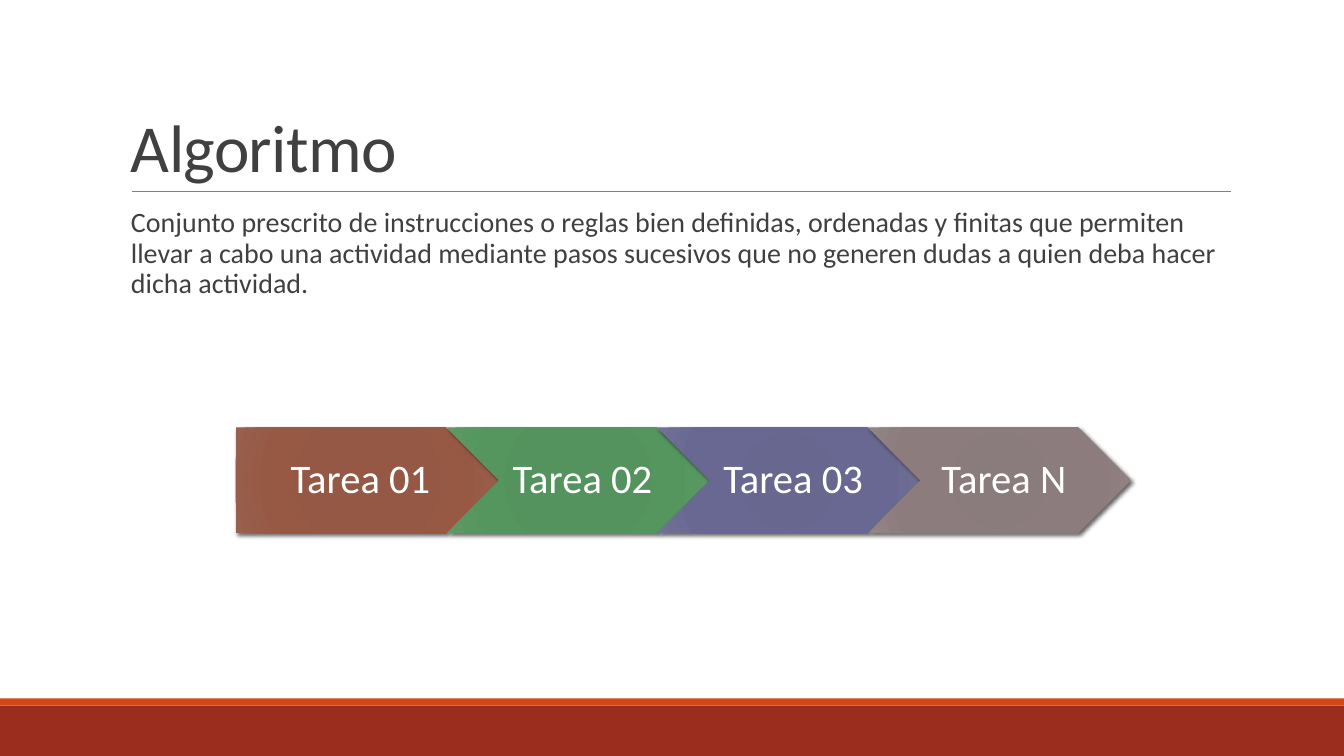
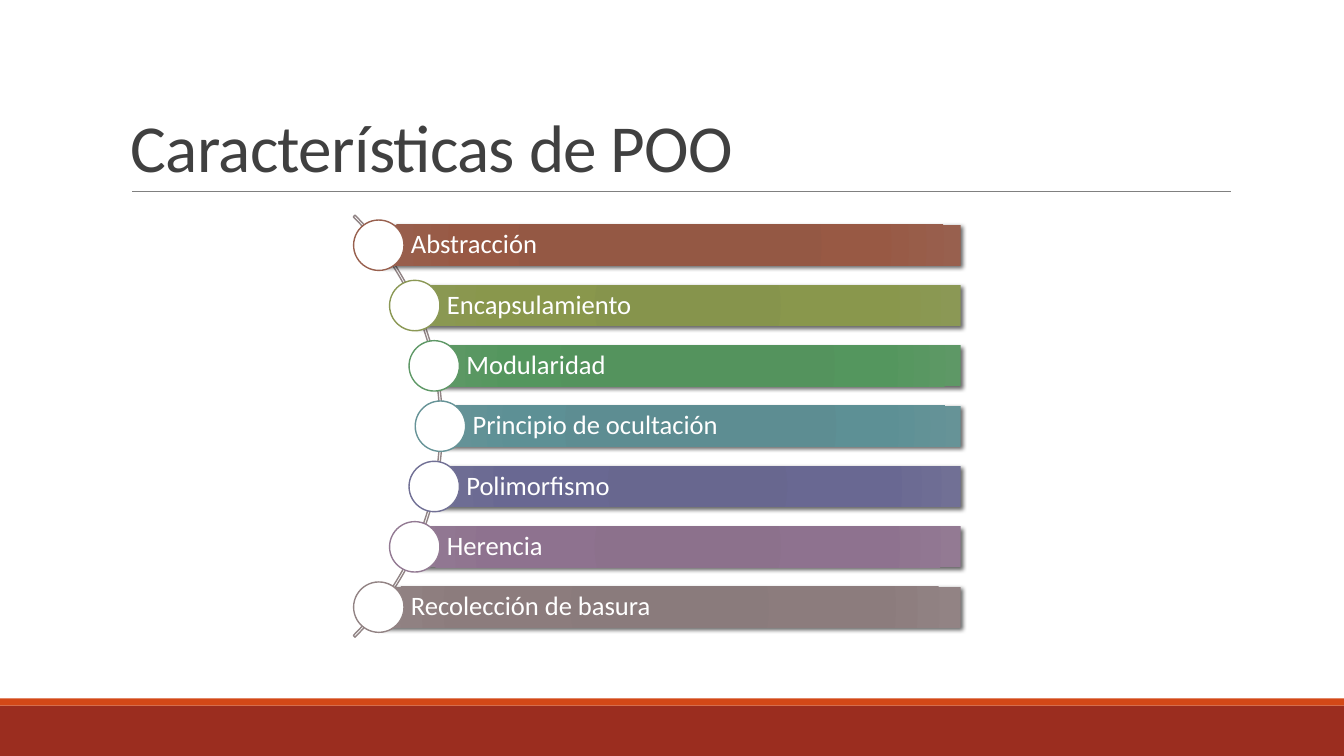
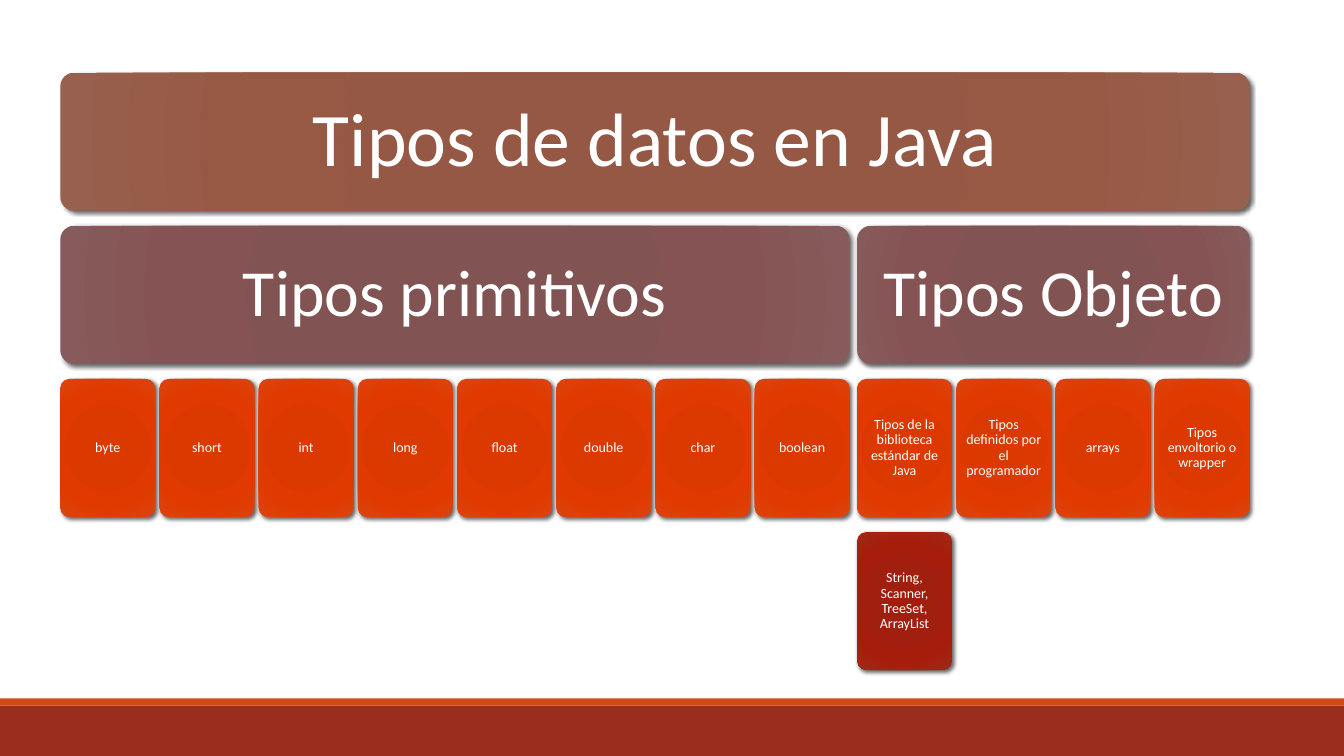
from math import sqrt

from pptx import Presentation
from pptx.dml.color import RGBColor
from pptx.enum.shapes import MSO_CONNECTOR, MSO_SHAPE
from pptx.enum.text import MSO_ANCHOR, PP_ALIGN
from pptx.oxml import parse_xml
from pptx.oxml.ns import nsdecls, qn
from pptx.util import Cm, Pt

FONT = "Calibri"
SLIDE_W, SLIDE_H = 33.87, 19.05


def colors(*codes):
    return [RGBColor.from_string(code) for code in codes]


# Colours
WHITE, INK, RULE, BAND, STRIPE, ARC = colors(
    "FFFFFF", "404040", "808080", "9B2D1F", "D34817", "918485")

# Radial gradients, one colour for each stop
STOPS = (0, 34, 70, 100)
BROWN = colors("945742", "945844", "985944", "98604E")
OLIVE = colors("85944A", "86944C", "89974C", "8B9855")
GREEN = colors("52935B", "54935D", "54965E", "5E9866")
TEAL = colors("5B8C91", "5D8D92", "5D9095", "669397")
VIOLET = colors("67658E", "68678F", "696892", "717095")
PLUM = colors("8B6F8B", "8C718C", "8E728F", "937A93")
GREY = colors("89797A", "8A7B7C", "8C7C7D", "928384")
WINE = colors("825151", "825353", "855353", "875B5B")
ORANGE = colors("DA3900", "DC3900", "E03A00", "DC440E")
RED = colors("A21D0C", "A01F0F", "A61D0C", "A12819")


# Element helpers; all places and sizes are in centimetres
def write(shape, text, size, color=WHITE, align=PP_ALIGN.CENTER,
          anchor=MSO_ANCHOR.MIDDLE, insets=(0.25, 0.13, 0.25, 0.13), spacing=0.9):
    tf = shape.text_frame
    tf.word_wrap = True
    tf.vertical_anchor = anchor
    tf.margin_left, tf.margin_top, tf.margin_right, tf.margin_bottom = map(Cm, insets)
    p = tf.paragraphs[0]
    p.alignment = align
    p.line_spacing = spacing
    r = p.add_run()
    r.text = text
    r.font.name = FONT
    r.font.size = Pt(size)
    r.font.color.rgb = color
    return r


def add_flat(s, kind, box, fill=None, line=None):
    sp = s.shapes.add_shape(kind, *map(Cm, box))
    sp.shadow.inherit = False
    if fill is None:
        sp.fill.background()
    else:
        sp.fill.solid()
        sp.fill.fore_color.rgb = fill
    if line is None:
        sp.line.fill.background()
    else:
        sp.line.color.rgb = line
        sp.line.width = Pt(1)
    return sp


def add_glossy(s, kind, box, gradient):
    """Shape with a radial gradient and a soft shadow."""
    sp = add_flat(s, kind, box, gradient[0])
    sp_pr = sp._element.spPr
    stops = "".join(
        f'<a:gs pos="{pos * 1000}"><a:srgbClr val="{color}"/></a:gs>'
        for pos, color in zip(STOPS, gradient))
    sp_pr.replace(sp_pr.find(qn("a:solidFill")), parse_xml(
        f'<a:gradFill {nsdecls("a")} rotWithShape="1"><a:gsLst>{stops}</a:gsLst>'
        '<a:path path="circle"><a:fillToRect l="100000" t="100000" r="100000" '
        'b="100000"/></a:path></a:gradFill>'))
    sp_pr.find(qn("a:effectLst")).append(parse_xml(
        f'<a:outerShdw {nsdecls("a")} blurRad="{Pt(3)}" dist="{Pt(2)}" '
        'dir="2700000" algn="ctr" rotWithShape="0"><a:srgbClr val="000000">'
        '<a:alpha val="60000"/></a:srgbClr></a:outerShdw>'))
    return sp


def add_text(s, box, text, size, **style):
    return write(s.shapes.add_textbox(*map(Cm, box)), text, size, INK,
                 PP_ALIGN.LEFT, **style)


# Shared frame
def add_slide(prs):
    s = prs.slides.add_slide(prs.slide_layouts[6])
    add_flat(s, MSO_SHAPE.RECTANGLE, (0, 17.78, SLIDE_W, 1.27), BAND)
    add_flat(s, MSO_SHAPE.RECTANGLE, (0, 17.6, SLIDE_W, 0.18), STRIPE)
    return s


def add_titled_slide(prs, title):
    s = add_slide(prs)
    rule = s.shapes.add_connector(
        MSO_CONNECTOR.STRAIGHT, Cm(3.33), Cm(4.83), Cm(31.01), Cm(4.83))
    rule.line.color.rgb = RULE
    rule.line.width = Pt(0.5)
    rule._element.spPr.append(parse_xml(f'<a:effectLst {nsdecls("a")}/>'))
    r = add_text(s, (3.05, 0.79, 27.94, 4.04), title, 48,
                 anchor=MSO_ANCHOR.BOTTOM, spacing=0.85)
    r.font._element.set("spc", "-50")
    return s


# Slides
def add_algorithm(prs):
    s = add_titled_slide(prs, "Algoritmo")
    add_text(s, (3.05, 5.13, 27.94, 4),
             "Conjunto prescrito de instrucciones o reglas bien definidas, "
             "ordenadas y finitas que permiten llevar a cabo una actividad "
             "mediante pasos sucesivos que no generen dudas a quien deba hacer "
             "dicha actividad.", 20, anchor=MSO_ANCHOR.TOP, insets=(0.25, 0.13, 0, 0.13))
    tasks = (("Tarea 01", BROWN), ("Tarea 02", GREEN),
             ("Tarea 03", VIOLET), ("Tarea N", GREY))
    for i, (task, gradient) in enumerate(tasks):
        kind, inset = (MSO_SHAPE.CHEVRON, 0.33) if i else (MSO_SHAPE.PENTAGON, 0.43)
        arrow = add_glossy(s, kind, (5.94 + i * 5.31, 10.77, 6.63, 2.67), gradient)
        write(arrow, task, 29, insets=(inset, 0.2, 0.1, 0.2))


def add_features(prs):
    s = add_titled_slide(prs, "Características de POO")
    arc_x, arc_y, arc_r = 3.63, 10.74, 7.52
    arc = add_flat(s, MSO_SHAPE.BLOCK_ARC,
                   (arc_x - arc_r, arc_y - arc_r, 2 * arc_r, 2 * arc_r), line=ARC)
    for i, value in enumerate((189, 27, 0.004)):
        arc.adjustments[i] = value

    # Bars start on the arc, each with a circle at its start
    right, pitch, bar_h, dot, orbit = 24.21, 1.52, 1.03, 1.27, 7.47
    features = (("Abstracción", BROWN), ("Encapsulamiento", OLIVE),
                ("Modularidad", GREEN), ("Principio de ocultación", TEAL),
                ("Polimorfismo", VIOLET), ("Herencia", PLUM),
                ("Recolección de basura", GREY))
    for i, (feature, gradient) in enumerate(features):
        dy = (i - (len(features) - 1) / 2) * pitch
        x, y = arc_x + sqrt(orbit ** 2 - dy ** 2), arc_y + dy
        bar = add_glossy(s, MSO_SHAPE.RECTANGLE,
                         (x, y - bar_h / 2, right - x, bar_h), gradient)
        write(bar, feature, 19, align=PP_ALIGN.LEFT, insets=(0.81, 0.13, 0.13, 0.13))
        add_flat(s, MSO_SHAPE.OVAL, (x - dot / 2, y - dot / 2, dot, dot),
                 WHITE, gradient[-1])


def add_data_types(prs):
    s = add_slide(prs)
    left, top, leaf_w, pitch, row_h, row_pitch = 1.52, 1.83, 2.39, 2.5, 3.48, 3.86
    group_gap = 0.08

    def add_card(x, row, columns, text, size, inset, gradient):
        width = (columns - 1) * pitch + leaf_w
        card = add_glossy(s, MSO_SHAPE.ROUNDED_RECTANGLE,
                          (x, top + row * row_pitch, width, row_h), gradient)
        card.adjustments[0] = 0.1
        write(card, text, size, insets=(inset,) * 4)

    groups = (
        ("Tipos primitivos",
         ("byte", "short", "int", "long", "float", "double", "char", "boolean")),
        ("Tipos Objeto",
         ("Tipos de la biblioteca estándar de Java",
          "Tipos definidos por el programador", "arrays",
          "Tipos envoltorio o wrapper")),
    )
    examples = {"Tipos de la biblioteca estándar de Java":
                "String, Scanner, TreeSet, ArrayList"}

    total = sum(len(leaves) for _, leaves in groups)
    add_card(left, 0, total + group_gap / pitch, "Tipos de datos en Java", 54, 0.58, BROWN)
    x = left
    for group, leaves in groups:
        add_card(x, 1, len(leaves), group, 47, 0.51, WINE)
        for leaf in leaves:
            add_card(x, 2, 1, leaf, 10, 0.1, ORANGE)
            if leaf in examples:
                add_card(x, 3, 1, examples[leaf], 10, 0.1, RED)
            x += pitch
        x += group_gap


def main():
    prs = Presentation()
    prs.slide_width, prs.slide_height = Cm(SLIDE_W), Cm(SLIDE_H)
    add_algorithm(prs)
    add_features(prs)
    add_data_types(prs)
    prs.save("out.pptx")


if __name__ == "__main__":
    main()
